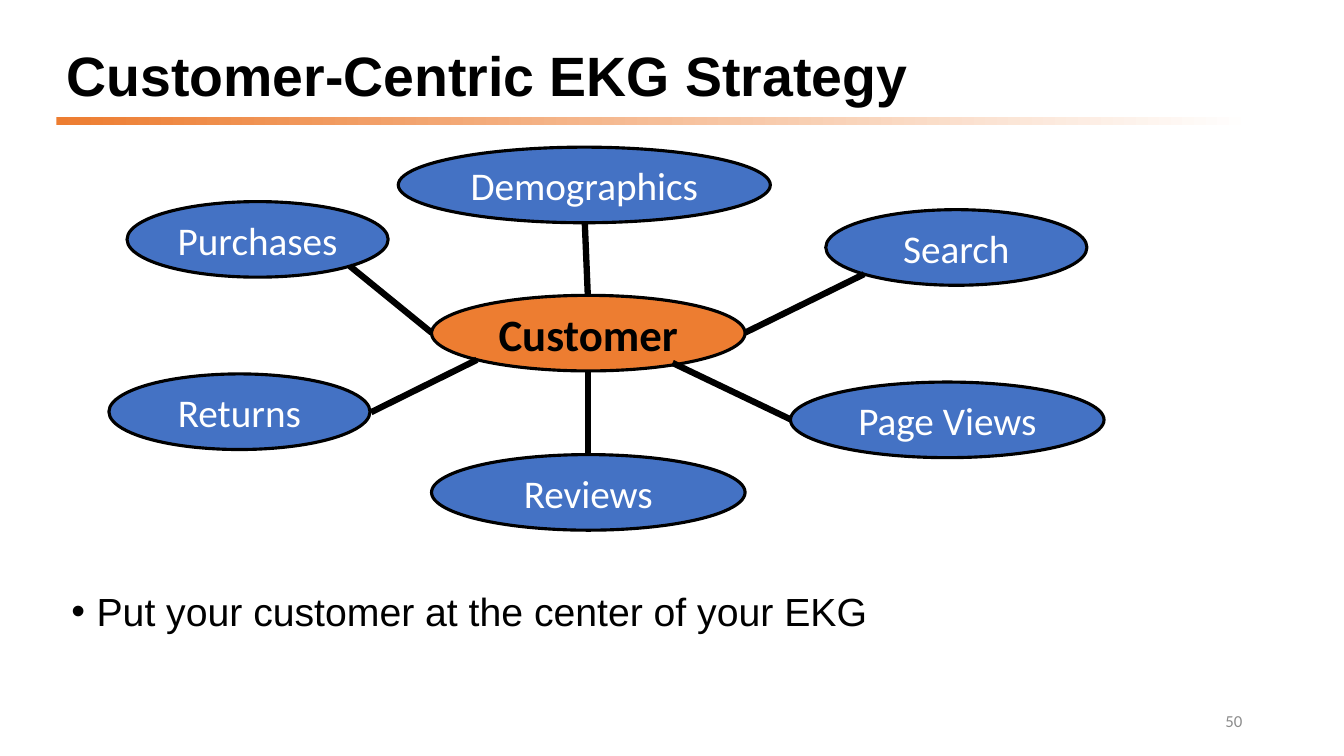
import pptx
import pptx.util
import pptx.dml.color
import pptx.enum.shapes
import pptx.enum.text
import lxml.etree
import pptx.oxml.ns

PX = 9144
BLACK = pptx.dml.color.RGBColor(0x00, 0x00, 0x00)
WHITE = pptx.dml.color.RGBColor(0xFF, 0xFF, 0xFF)
ORANGE = pptx.dml.color.RGBColor(0xED, 0x7D, 0x31)
BLUE = pptx.dml.color.RGBColor(0x44, 0x72, 0xC4)
GRAY = pptx.dml.color.RGBColor(0x8C, 0x8C, 0x8C)
ALIGN = pptx.enum.text.PP_ALIGN
ANCHOR = pptx.enum.text.MSO_ANCHOR
SHAPES = pptx.enum.shapes.MSO_SHAPE


def px(*lengths):
    return [length * PX for length in lengths]


def write(box, text, size, color, name, bold=False, align=ALIGN.LEFT, anchor=ANCHOR.MIDDLE):
    frame = box.text_frame
    frame.word_wrap = True
    frame.auto_size = pptx.enum.text.MSO_AUTO_SIZE.NONE
    frame.vertical_anchor = anchor
    para = frame.paragraphs[0]
    para.alignment = align
    span = para.add_run()
    span.text = text
    span.font.color.rgb = color
    formats = {"size": pptx.util.Pt(size), "name": name, "bold": bold}
    for key, value in formats.items():
        setattr(span.font, key, value)
    return para


deck = pptx.Presentation()
deck.slide_width, deck.slide_height = px(1333, 750)
page = deck.slides.add_slide(deck.slide_layouts[5])

title = page.shapes.title
title.left, title.top, title.width, title.height = px(56, 40, 1150, 76)
write(title, "Customer-Centric EKG Strategy", 39.6, BLACK, "Arial", bold=True).line_spacing = 0.9

bar = page.shapes.add_shape(SHAPES.RECTANGLE, *px(56, 116, 1186, 8))
bar.shadow.inherit = False
bar.line.fill.background()
bar.fill.gradient()
bar.fill.gradient_angle = 0
for stop, color in zip(bar.fill.gradient_stops, (ORANGE, WHITE)):
    stop.color.rgb = color

body = page.shapes.add_textbox(*px(61, 583, 1162, 119))
point = write(body, "Put your customer at the center of your EKG", 28, BLACK, "Arial", anchor=ANCHOR.TOP)
point.line_spacing = 0.9
point.space_before = pptx.util.Pt(10)
properties = point._p.get_or_add_pPr()
properties.set("marL", str(25 * PX))
properties.set("indent", str(-25 * PX))
for tag, key, value in (("a:buFont", "typeface", "Arial"), ("a:buChar", "char", "•")):
    lxml.etree.SubElement(properties, pptx.oxml.ns.qn(tag)).set(key, value)

number = page.shapes.add_textbox(*px(942, 695, 300, 40))
write(number, "50", 12, GRAY, "Calibri", align=ALIGN.RIGHT)

topics = [
    ("Customer", 428, 293, 311),
    ("Purchases", 126, 200, 259),
    ("Search", 819, 208, 259),
    ("Page Views", 784, 379, 311),
    ("Returns", 108, 371, 259),
    ("Reviews", 428, 451, 311),
    ("Demographics", 395, 146, 369),
]
for text, left, top, width in topics:
    central = text == "Customer"
    oval = page.shapes.add_shape(SHAPES.OVAL, *px(left, top, width, 75))
    oval.shadow.inherit = False
    oval.fill.solid()
    oval.fill.fore_color.rgb = ORANGE if central else BLUE
    oval.line.color.rgb = BLACK
    oval.line.width = pptx.util.Pt(2.25)
    write(oval, text, 32 if central else 28, BLACK if central else WHITE, "Calibri",
          bold=central, align=ALIGN.CENTER)

spokes = [
    (347, 264, 428, 330),
    (739, 330, 857, 272),
    (667, 360, 784, 416),
    (368, 409, 473, 357),
    (583, 368, 583, 451),
    (580, 221, 583, 293),
]
for ends in spokes:
    spoke = page.shapes.add_connector(pptx.enum.shapes.MSO_CONNECTOR.STRAIGHT, *px(*ends))
    spoke.line.color.rgb = BLACK
    spoke.line.width = pptx.util.Pt(4.5)
    lxml.etree.SubElement(spoke._element.spPr, pptx.oxml.ns.qn("a:effectLst"))

deck.save("out.pptx")
